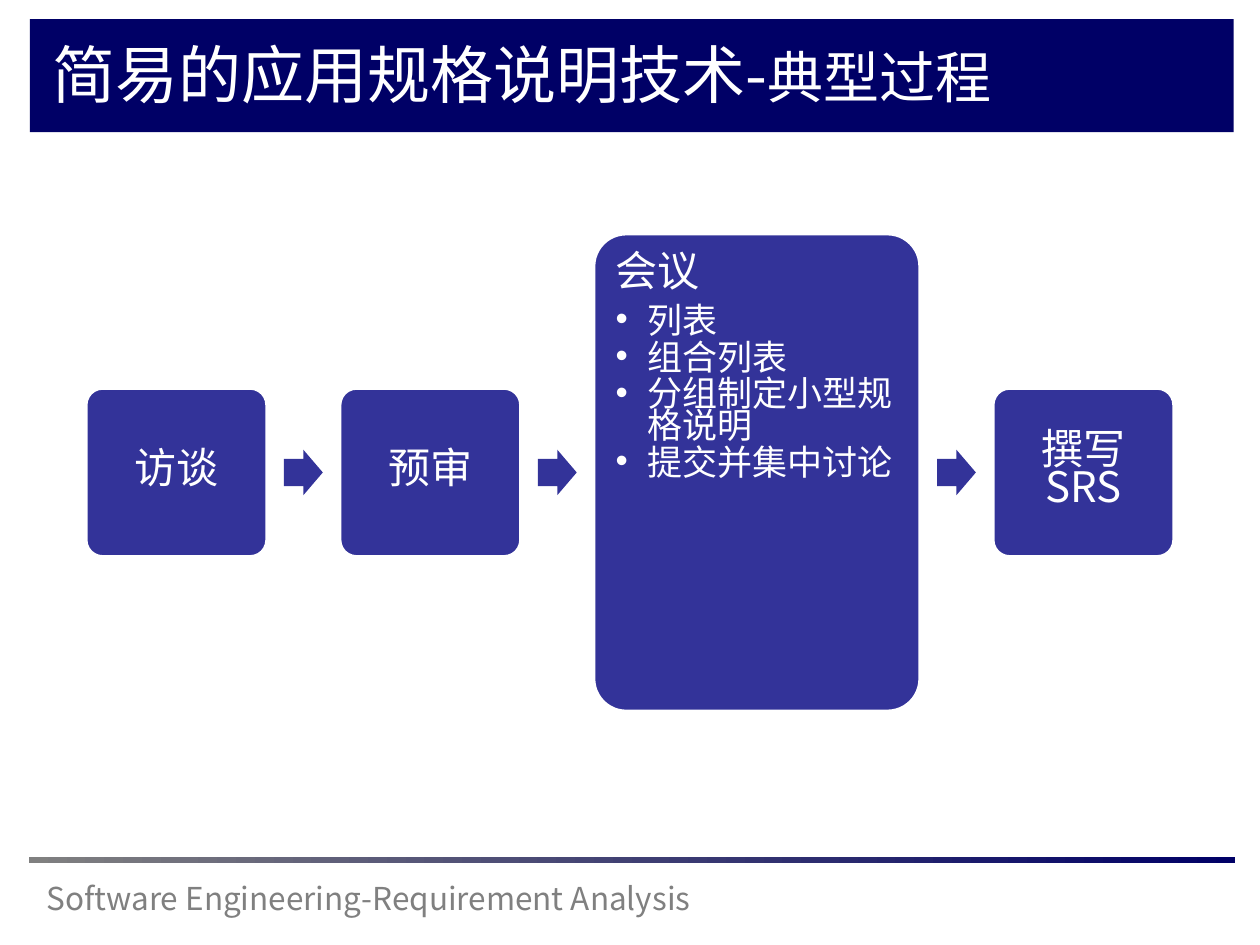
from lxml.etree import SubElement
from pptx import Presentation
from pptx.dml.color import RGBColor
from pptx.enum.shapes import MSO_SHAPE as Shape
from pptx.enum.text import MSO_ANCHOR as Anchor, PP_ALIGN as Align
from pptx.oxml.ns import qn
from pptx.util import Pt

FONT = "Noto Sans CJK SC"
COLORS = {"navy": "000066", "indigo": "333399", "gray": "808080", "white": "FFFFFF"}
CENTER_Y = 270
GAP = 41.5
ARROW_WIDTH, ARROW_HEIGHT = 22.2, 26
SMALL_BOX = (103.6, 96.5)
LARGE_BOX = (186.6, 273)
STEPS = [
    ("访谈", [], SMALL_BOX),
    ("预审", [], SMALL_BOX),
    ("会议", ["列表", "组合列表", "分组制定小型规格说明", "提交并集中讨论"], LARGE_BOX),
    ("撰写SRS", [], SMALL_BOX),
]


def color(name):
    """Return the named palette colour."""
    return RGBColor.from_string(COLORS[name])


def style_font(font, size, name):
    """Set size, colour and both Latin and East Asian typefaces."""
    font.size = Pt(size)
    font.color.rgb = color(name)
    font.name = FONT
    SubElement(font._element, qn("a:ea"), typeface=FONT)


def add_block(slide, kind, left, top, width, height, fill):
    """Add a plain filled shape without line or shadow."""
    shape = slide.shapes.add_shape(kind, Pt(left), Pt(top), Pt(width), Pt(height))
    shape.shadow.inherit = False
    shape.fill.solid()
    shape.fill.fore_color.rgb = color(fill)
    shape.line.fill.background()
    return shape


def add_label(slide, left, top, width, height, runs, name):
    """Add a one-line text box from (text, size) runs."""
    box = slide.shapes.add_textbox(Pt(left), Pt(top), Pt(width), Pt(height))
    frame = box.text_frame
    frame.word_wrap = True
    frame.vertical_anchor = Anchor.MIDDLE
    paragraph = frame.paragraphs[0]
    paragraph.line_spacing = 0.83
    for text, size in runs:
        run = paragraph.add_run()
        run.text = text
        style_font(run.font, size, name)


def add_bullet(paragraph):
    """Give a paragraph a hanging round bullet."""
    properties = paragraph._p.get_or_add_pPr()
    properties.set("marL", str(Pt(18)))
    properties.set("indent", str(-Pt(18)))
    SubElement(properties, qn("a:buFont"), typeface="Arial")
    SubElement(properties, qn("a:buChar"), char="•")


def add_step(slide, left, heading, items, size):
    """Add a rounded process box with a heading and optional bullets."""
    width, height = size
    shape = add_block(slide, Shape.ROUNDED_RECTANGLE, left, CENTER_Y - height / 2,
                      width, height, "indigo")
    shape.adjustments[0] = 0.1
    shape.line.color.rgb = color("white")
    shape.line.width = Pt(2)
    frame = shape.text_frame
    frame.word_wrap = True
    frame.margin_left = frame.margin_right = Pt(7.2)
    frame.margin_top = frame.margin_bottom = Pt(7.2)
    frame.vertical_anchor = Anchor.TOP if items else Anchor.MIDDLE
    for index, text in enumerate([heading, *items]):
        paragraph = frame.paragraphs[0] if index == 0 else frame.add_paragraph()
        paragraph.text = text
        paragraph.alignment = Align.LEFT if items else Align.CENTER
        paragraph.line_spacing = 0.75
        paragraph.space_after = Pt(3 if index else 8.4)
        if index:
            add_bullet(paragraph)
        style_font(paragraph.font, 20 if index else 24, "white")


def add_arrow(slide, gap_left):
    """Add a block arrow centred in the gap between two steps."""
    arrow = add_block(slide, Shape.RIGHT_ARROW, gap_left + (GAP - ARROW_WIDTH) / 2,
                      CENTER_Y - ARROW_HEIGHT / 2, ARROW_WIDTH, ARROW_HEIGHT, "indigo")
    arrow.adjustments[0] = 0.6
    arrow.adjustments[1] = 0.5


def add_process(slide, left):
    """Lay out the steps from left to right with arrows between them."""
    for index, (heading, items, size) in enumerate(STEPS):
        if index:
            add_arrow(slide, left)
            left += GAP
        add_step(slide, left, heading, items, size)
        left += size[0]


def add_rule(slide):
    """Add the gradient rule above the footer."""
    rule = add_block(slide, Shape.RECTANGLE, 16.5, 489.6, 689, 3.6, "gray")
    rule.fill.gradient()
    rule.fill.gradient_angle = 0
    for stop, name, position in zip(rule.fill.gradient_stops, ("gray", "navy"), (0, 1)):
        stop.color.rgb = color(name)
        stop.position = position


def main():
    """Build and save the slide."""
    presentation = Presentation()
    presentation.slide_width, presentation.slide_height = Pt(720), Pt(540)
    slide = presentation.slides.add_slide(presentation.slide_layouts[6])
    add_block(slide, Shape.RECTANGLE, 17, 11, 688, 64.5, "navy")
    add_label(slide, 19.5, 500.4, 397, 28.8,
              [("Software Engineering-Requirement Analysis", 18)], "gray")
    add_rule(slide)
    add_label(slide, 23, 18.7, 634, 53.3,
              [("简易的应用规格说明技术-", 36), ("典型过程", 32)], "white")
    add_process(slide, 49)
    presentation.save("out.pptx")


if __name__ == "__main__":
    main()
